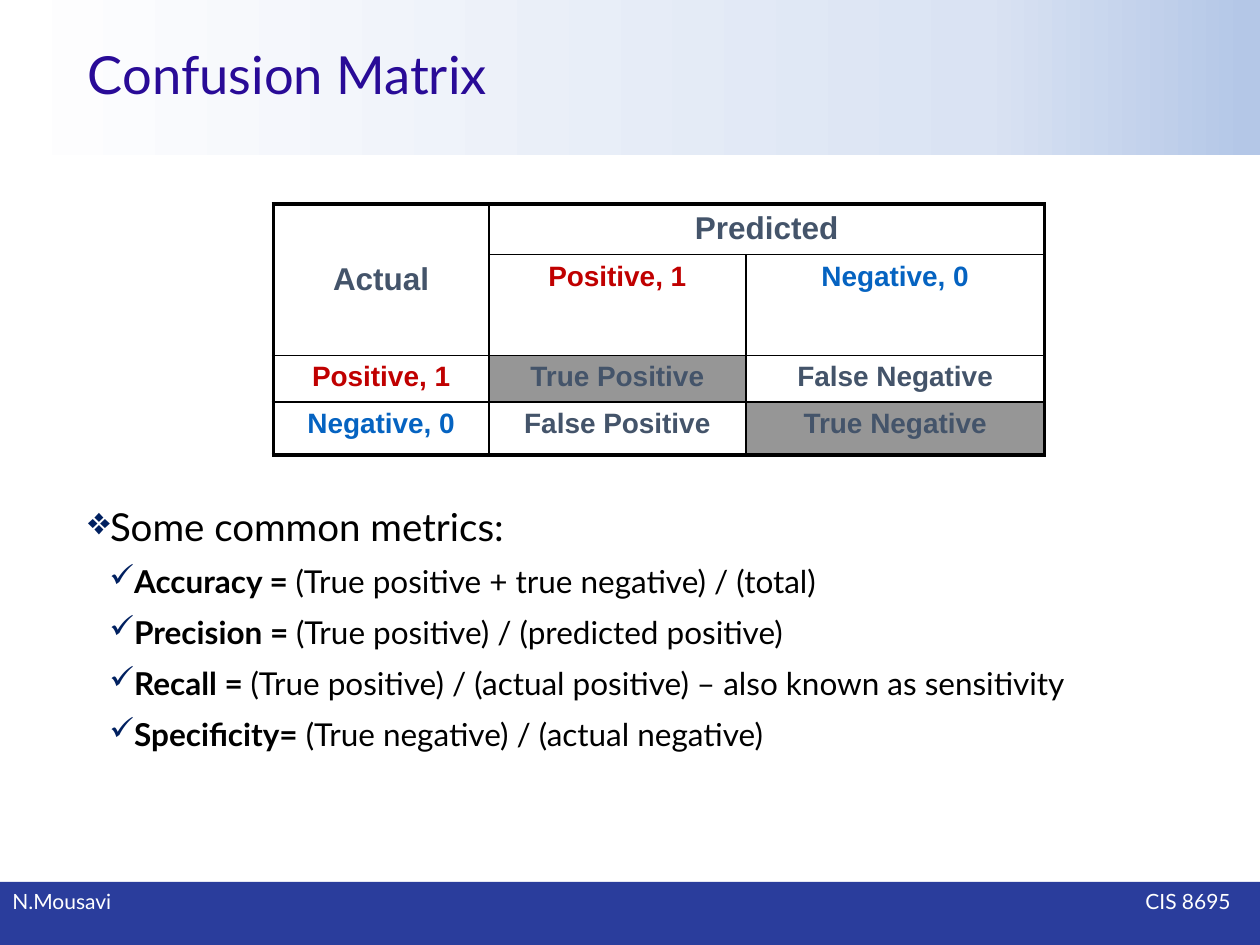
import pptx
import pptx.dml.color
import pptx.enum.shapes
import pptx.enum.text
import pptx.oxml
import pptx.oxml.ns
import pptx.util
from lxml import etree

Inches = pptx.util.Inches
Pt = pptx.util.Pt
ALIGN = pptx.enum.text.PP_ALIGN
ANCHOR = pptx.enum.text.MSO_ANCHOR

WIDTH, HEIGHT = 10, 7.5
MARGIN = 0.6
HEADER_HEIGHT = 1.23
FOOTER_TOP = 7
SLATE, RED, BLUE, GREY = "44546A", "C00000", "0563C1", "969696"

TITLE = "Confusion Matrix"
FOOTER = "N.Mousavi\tCIS 8695"
HEADER_STOPS = [(1, "B4C7E7"), (22, "DAE3F3"), (100, "FFFFFF")]
COLUMN_WIDTHS = [1.71, 2.04, 2.37]
ROW_HEIGHTS = [0.39, 0.8, 0.37, 0.42]
MERGES = [((0, 0), (1, 0)), ((0, 1), (0, 2))]
MATRIX = [
    [("Actual", SLATE, None), ("Predicted", SLATE, None), None],
    [None, ("Positive, 1", RED, None), ("Negative, 0", BLUE, None)],
    [("Positive, 1", RED, None), ("True Positive", SLATE, GREY), ("False Negative", SLATE, None)],
    [("Negative, 0", BLUE, None), ("False Positive", SLATE, None), ("True Negative", SLATE, GREY)],
]
METRICS_HEADING = "Some common metrics:"
METRICS = [
    ("Accuracy = ", "(True positive + true negative) / (total)"),
    ("Precision = ", "(True positive) / (predicted positive)"),
    ("Recall = ", "(True positive) / (actual positive) – also known as sensitivity"),
    ("Specificity=", " (True negative) / (actual negative)"),
]


def color(value):
    return pptx.dml.color.RGBColor.from_string(value)


def element(parent, tag, **attributes):
    child = etree.SubElement(parent, pptx.oxml.ns.qn(tag))
    for name, value in attributes.items():
        child.set(name, str(value))
    return child


def format_run(run, size, value, font="Lato", bold=False):
    run.font.size = Pt(size)
    run.font.name = font
    run.font.bold = bold
    run.font.color.rgb = color(value)


def space(paragraph):
    paragraph.space_before = paragraph.space_after = Pt(3.8)


def add_band(slide, top, height):
    band = slide.shapes.add_shape(
        pptx.enum.shapes.MSO_SHAPE.RECTANGLE, 0, Inches(top), Inches(WIDTH), Inches(height))
    band.shadow.inherit = False
    band.line.fill.background()
    return band


def add_header(slide):
    band = add_band(slide, 0, HEADER_HEIGHT)
    band.fill.gradient()
    gradient = band.fill._xPr.find(pptx.oxml.ns.qn("a:gradFill"))
    for child in list(gradient):
        gradient.remove(child)
    stops = element(gradient, "a:gsLst")
    for position, value in HEADER_STOPS:
        stop = element(stops, "a:gs", pos=position * 1000)
        element(stop, "a:srgbClr", val=value)
    element(gradient, "a:lin", ang=180 * 60000, scaled=0)


def add_footer(slide):
    band = add_band(slide, FOOTER_TOP, HEIGHT - FOOTER_TOP)
    band.fill.solid()
    band.fill.fore_color.rgb = color("2A3D9C")
    band.text_frame.vertical_anchor = ANCHOR.TOP
    paragraph = band.text_frame.paragraphs[0]
    paragraph.text = FOOTER
    paragraph.alignment = ALIGN.LEFT
    space(paragraph)
    tabs = element(paragraph._p.get_or_add_pPr(), "a:tabLst")
    element(tabs, "a:tab", pos=Inches(9.67), algn="r")
    for run in paragraph.runs:
        format_run(run, 12, "FFFFFF")


def add_text(slide, top, width, height):
    box = slide.shapes.add_textbox(Inches(MARGIN), Inches(top), Inches(width), Inches(height))
    box.text_frame.word_wrap = True
    return box.text_frame


def add_title(slide):
    frame = add_text(slide, 0, WIDTH - MARGIN, HEADER_HEIGHT)
    frame.vertical_anchor = ANCHOR.MIDDLE
    frame.text = TITLE
    frame.paragraphs[0].line_spacing = 0.9
    format_run(frame.paragraphs[0].runs[0], 30, "290B97")


def set_borders(cell, row, column):
    last_row = row + cell.span_height == len(ROW_HEIGHTS)
    last_column = column + cell.span_width == len(COLUMN_WIDTHS)
    outer = {"L": column == 0, "R": last_column, "T": row == 0, "B": last_row}
    merged_side = "T" if column == 0 else "L"
    properties = cell._tc.get_or_add_tcPr()
    lines = []
    for side, is_outer in outer.items():
        if cell.is_spanned and side == merged_side:
            continue
        line = element(properties, f"a:ln{side}", w=Pt(2.25 if is_outer else 1))
        element(element(line, "a:solidFill"), "a:srgbClr", val="000000")
        lines.append(line)
    for index, line in enumerate(lines):
        properties.insert(index, line)


def add_matrix(slide):
    table = slide.shapes.add_table(
        len(ROW_HEIGHTS), len(COLUMN_WIDTHS), Inches(2.17), Inches(1.62),
        Inches(sum(COLUMN_WIDTHS)), Inches(sum(ROW_HEIGHTS))).table
    table.first_row = table.horz_banding = False
    for column, width in zip(table.columns, COLUMN_WIDTHS):
        column.width = Inches(width)
    for row, height in zip(table.rows, ROW_HEIGHTS):
        row.height = Inches(height)
    for first, last in MERGES:
        table.cell(*first).merge(table.cell(*last))
    for row, entries in enumerate(MATRIX):
        for column, entry in enumerate(entries):
            cell = table.cell(row, column)
            cell.fill.background()
            if entry:
                text, text_color, fill = entry
                cell.text_frame.text = text
                cell.vertical_anchor = ANCHOR.MIDDLE if cell.span_height > 1 else ANCHOR.TOP
                paragraph = cell.text_frame.paragraphs[0]
                paragraph.alignment = ALIGN.CENTER
                format_run(paragraph.runs[0], 18 if row == 0 else 16, text_color, "Arial", True)
                if fill:
                    cell.fill.solid()
                    cell.fill.fore_color.rgb = color(fill)
            set_borders(cell, row, column)


def add_bullet(paragraph, character, left, indent):
    space(paragraph)
    properties = paragraph._p.get_or_add_pPr()
    properties.set("marL", str(Inches(left)))
    properties.set("indent", str(Inches(indent)))
    element(element(properties, "a:buClr"), "a:srgbClr", val="002060")
    element(properties, "a:buChar", char=character)


def add_metrics(slide):
    frame = add_text(slide, 3.94, 8.62, 2.4)
    heading = frame.paragraphs[0]
    heading.text = METRICS_HEADING
    format_run(heading.runs[0], 22, "000000")
    add_bullet(heading, "❖", 0.14, -0.3)
    for name, formula in METRICS:
        paragraph = frame.add_paragraph()
        paragraph.level = 1
        for text, bold in ((name, True), (formula, False)):
            run = paragraph.add_run()
            run.text = text
            format_run(run, 18, "000000", bold=bold)
        add_bullet(paragraph, "✓", 0.32, -0.15)


def main():
    presentation = pptx.Presentation()
    presentation.slide_width, presentation.slide_height = Inches(WIDTH), Inches(HEIGHT)
    slide = presentation.slides.add_slide(presentation.slide_layouts[6])
    for add_part in (add_header, add_footer, add_title, add_metrics, add_matrix):
        add_part(slide)
    presentation.save("out.pptx")


if __name__ == "__main__":
    main()
